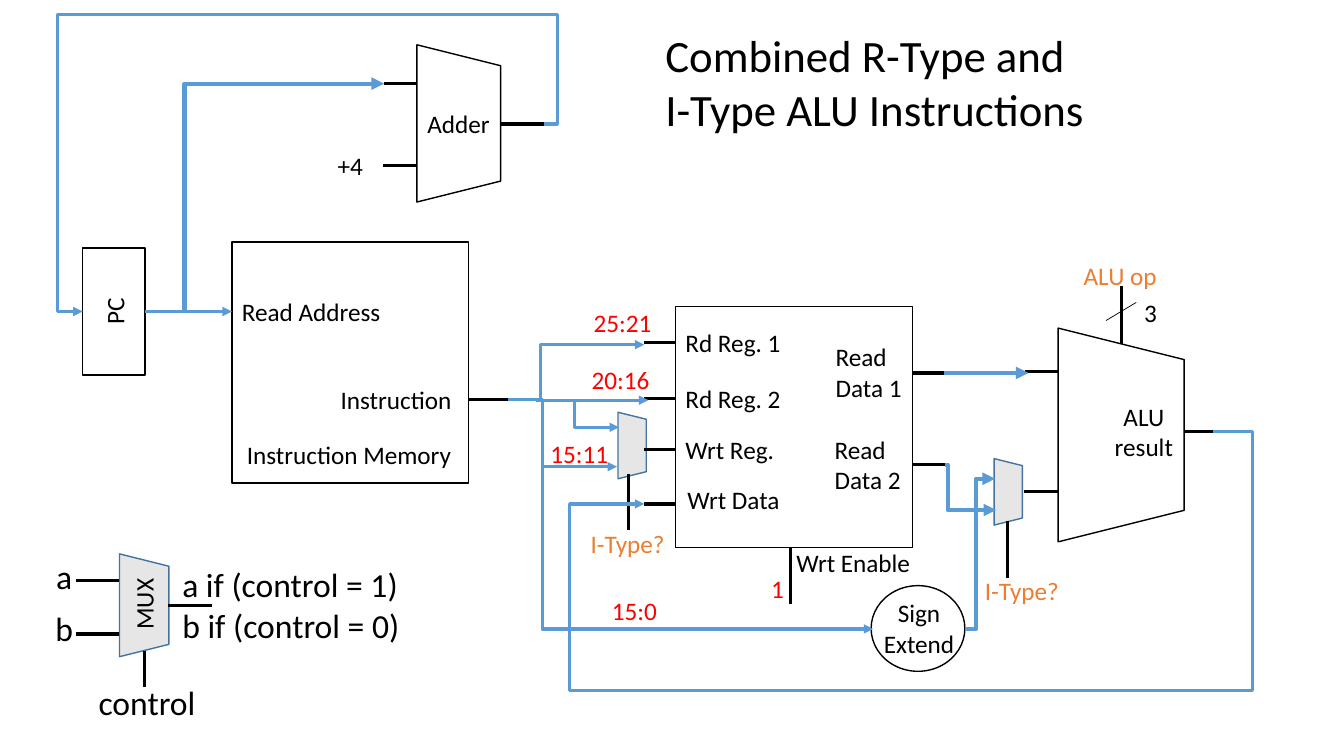
from lxml import etree
from pptx import Presentation
from pptx.dml.color import RGBColor
from pptx.enum.shapes import MSO_CONNECTOR, MSO_SHAPE
from pptx.enum.text import MSO_AUTO_SIZE, PP_ALIGN
from pptx.oxml.ns import qn
from pptx.util import Emu, Pt

RECTANGLE = MSO_SHAPE.RECTANGLE
OVAL = MSO_SHAPE.OVAL
TRAPEZOID = MSO_SHAPE.TRAPEZOID
STRAIGHT = MSO_CONNECTOR.STRAIGHT
ELBOW = MSO_CONNECTOR.ELBOW
FIT_TEXT = MSO_AUTO_SIZE.SHAPE_TO_FIT_TEXT
LEFT = PP_ALIGN.LEFT
CENTER = PP_ALIGN.CENTER

FONT = "Calibri"
BLACK, BLUE, RED, ORANGE = "000000", "5B9BD5", "FF0000", "ED7D31"
MUX_FILL, MUX_LINE = "E7E6E6", "43739E"
PX = 9144  # 100 px to the inch


def px(length):
    return Emu(length * PX)


def color(hex_value):
    return RGBColor.from_string(hex_value)


def set_all(target, values):
    for name, value in values.items():
        setattr(target, name, value)


def add_block(slide, kind, left, top, width, height, fill=None, line=BLACK):
    shape = slide.shapes.add_shape(kind, px(left), px(top), px(width), px(height))
    shape.shadow.inherit = False
    if fill:
        shape.fill.solid()
        shape.fill.fore_color.rgb = color(fill)
    else:
        shape.fill.background()
    shape.line.color.rgb = color(line)
    shape.line.width = Pt(1)
    return shape


def add_unit(slide, left, top, width, height, **style):
    """A trapezoid whose narrow side faces right."""
    shape = add_block(slide, TRAPEZOID, left, top, width, height, **style)
    shape.rotation = 90


def add_label(slide, text, left, top, width, hex_value=BLACK, size=18, align=LEFT, turn=0):
    lines = text.split("\n")
    height = round(10 + len(lines) * size * 5 / 3)
    box = slide.shapes.add_textbox(px(left), px(top), px(width), px(height))
    box.rotation = turn
    frame = box.text_frame
    set_all(frame, {"word_wrap": False, "auto_size": FIT_TEXT, "text": text})
    for paragraph in frame.paragraphs:
        paragraph.alignment = align
        set_all(paragraph.font, {"name": FONT, "size": Pt(size)})
        paragraph.font.color.rgb = color(hex_value)


def add_wire(slide, start, end, hex_value=BLACK, width=2.25, via=None, arrow=None):
    """A line, or an elbow whose upright part stands at x = via."""
    kind = STRAIGHT if via is None else ELBOW
    connector = slide.shapes.add_connector(kind, *map(px, start + end))
    connector.line.color.rgb = color(hex_value)
    connector.line.width = Pt(width)
    properties = connector.element.spPr
    if via is not None:
        bend = round(100000 * (via - start[0]) / (end[0] - start[0]))
        guides = properties.find(qn("a:prstGeom")).get_or_add_avLst()
        etree.SubElement(guides, qn("a:gd"), name="adj1", fmla=f"val {bend}")
    if arrow:
        etree.SubElement(properties.find(qn("a:ln")), qn(f"a:{arrow}"), type="triangle")
    etree.SubElement(properties, qn("a:effectLst"))


def draw_blocks(slide):
    for block in [
        (RECTANGLE, 670, 304, 235, 239),  # registers
        (RECTANGLE, 82, 246, 62, 126),  # program counter
        (RECTANGLE, 230, 240, 235, 239),  # instruction memory
        (OVAL, 864, 581, 93, 85),  # sign extend
    ]:
        add_block(slide, *block)
    add_unit(slide, 1006, 369, 212, 125)  # ALU
    add_unit(slide, 377, 81, 156, 83)  # adder
    for mux in [(594, 428, 66, 28), (967, 474, 66, 28), (92, 576, 102, 49)]:
        add_unit(slide, *mux, fill=MUX_FILL, line=MUX_LINE)


def draw_pins(slide):
    # Horizontal pins: left, right, y
    for left, right, y in [
        *((639, 670, y) for y in (340, 395, 446, 500)),
        (906, 936, 370), (905, 941, 461), (1174, 1207, 428),
        (1017, 1050, 369), (1016, 1049, 488), (465, 508, 396),
        (496, 542, 123), (381, 414, 83), (380, 413, 164),
        (75, 118, 576), (75, 118, 629), (167, 210, 601),
    ]:
        add_wire(slide, (left, y), (right, y))
    # Control pins: x, top, bottom
    for x, top, bottom in [
        (1112, 284, 341), (784, 543, 599), (143, 646, 682),
        (623, 470, 526), (999, 517, 573),
    ]:
        add_wire(slide, (x, top), (x, bottom))
    add_wire(slide, (1097, 318), (1127, 300), width=0.5)


def draw_data_paths(slide):
    # Start, end, x of the upright part, arrowhead, line width
    for start, end, via, arrow, width in [
        ((144, 309), (230, 309), None, "tailEnd", 2.25),
        ((504, 396), (639, 342), 536, "tailEnd", 2.25),
        ((532, 397), (643, 397), None, "tailEnd", 2.25),
        ((504, 396), (612, 463), 538, "tailEnd", 2.25),
        ((537, 396), (866, 624), 538, "tailEnd", 2.25),
        ((571, 398), (614, 424), 570, "tailEnd", 2.25),
        ((936, 370), (1020, 370), None, "tailEnd", 3),
        ((957, 624), (987, 475), 968, "tailEnd", 3),
        ((937, 461), (988, 506), 940, "tailEnd", 3),
        # ALU result back to the registers
        ((1203, 428), (914, 685), 1242, None, 2.25),
        ((936, 685), (639, 500), 565, "tailEnd", 2.25),
        # Program counter to the adder and back
        ((381, 83), (183, 309), 183, "headEnd", 3),
        ((540, 123), (332, 14), 553, None, 2.25),
        ((332, 14), (82, 309), 57, "tailEnd", 2.25),
    ]:
        add_wire(slide, start, end, BLUE, width, via, arrow)


def draw_labels(slide):
    add_label(slide, "Combined R-Type and\nI-Type ALU Instructions", 650, 23, 440, size=32)
    for label in [
        ("Rd Reg. 1", 670, 320, 116),
        ("Rd Reg. 2", 670, 375, 116),
        ("Wrt Reg.", 670, 426, 109),
        ("Wrt Data", 672, 476, 113),
        ("Read\nData 1", 819, 334, 86),
        ("Read\nData 2", 818, 426, 86),
        ("Wrt Enable", 780, 538, 134),
        ("Read Address", 230, 289, 159),
        ("Instruction", 328, 376, 137),
        ("Instruction Memory", 235, 431, 225),
        ("Adder", 414, 103, 83),
        ("+4", 325, 144, 46),
        ("3", 1125, 290, 33),
    ]:
        add_label(slide, *label)
    # Instruction bit fields and fixed values
    for label in [
        ("25:21", 579, 300, 78), ("20:16", 577, 357, 78), ("15:11", 536, 430, 78),
        ("15:0", 597, 586, 65), ("1", 755, 564, 33),
    ]:
        add_label(slide, *label, RED)
    # Control signals
    for label in [("ALU op", 1065, 253, 93), ("I-Type?", 576, 519, 94), ("I-Type?", 967, 566, 94)]:
        add_label(slide, *label, ORANGE)
    # Centred and turned names
    for label in [("ALU\nresult", 1095, 393, 79), ("Sign\nExtend", 866, 588, 91)]:
        add_label(slide, *label, align=CENTER)
    for label in [("PC", 90, 288, 47), ("MUX", 107, 579, 71)]:
        add_label(slide, *label, turn=270)
    # Multiplexer key
    for label in [
        ("a", 46, 547, 36), ("b", 45, 598, 38), ("control", 88, 672, 117),
        ("a if (control = 1)\nb if (control = 0)", 171, 555, 245),
    ]:
        add_label(slide, *label, size=24)


def main():
    presentation = Presentation()
    set_all(presentation, {"slide_width": px(1333), "slide_height": px(750)})
    slide = presentation.slides.add_slide(presentation.slide_layouts[6])
    draw_blocks(slide)
    draw_pins(slide)
    draw_data_paths(slide)
    draw_labels(slide)
    presentation.save("out.pptx")


if __name__ == "__main__":
    main()
